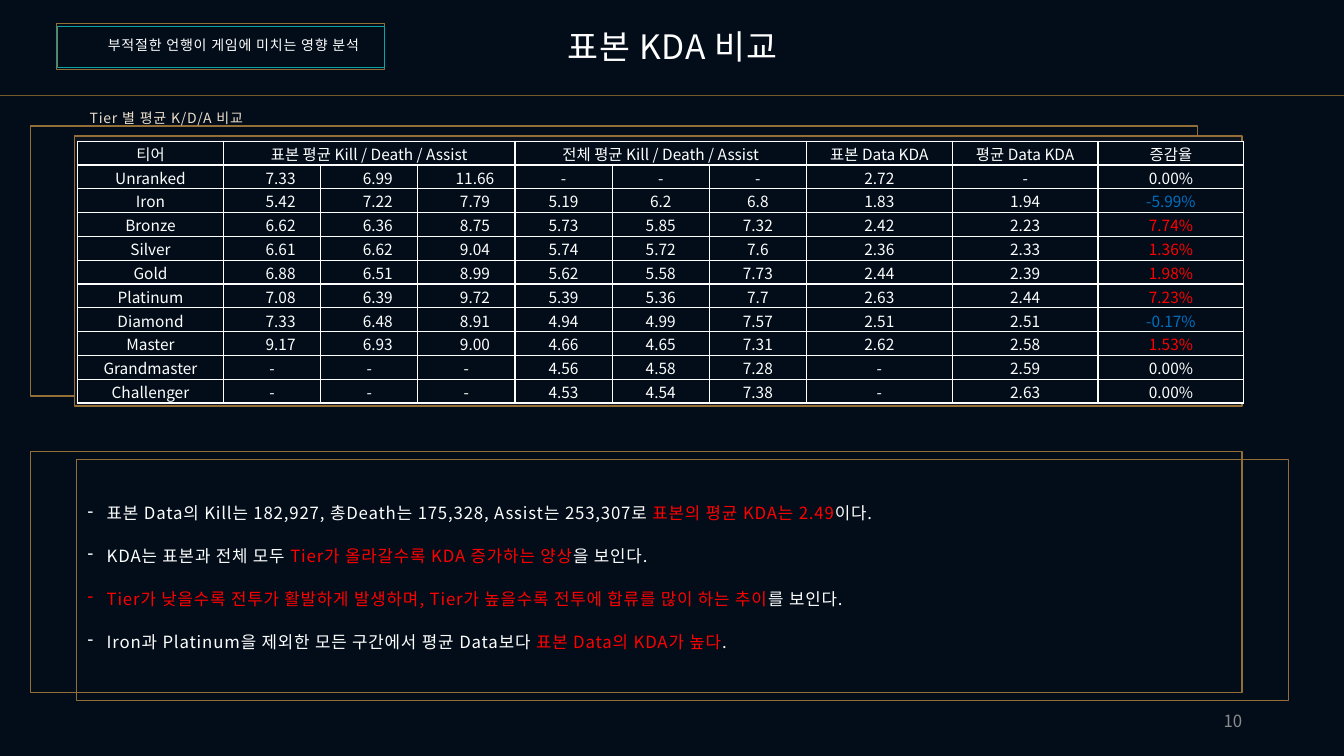
import lxml.etree
import pptx
import pptx.dml.color
import pptx.enum.shapes
import pptx.enum.text
import pptx.oxml
import pptx.oxml.ns
import pptx.util

SCALE = 9144
FONT = "Noto Sans CJK KR"
NIGHT, WHITE, GOLD = "020D19", "FFFFFF", "936E37"
RED, BLUE = "FF0000", "0070C0"
ALIGN = pptx.enum.text.PP_ALIGN
ANCHOR = pptx.enum.text.MSO_ANCHOR
qn = pptx.oxml.ns.qn

TIERS = """
Unranked 7.33 6.99 11.66 - - - 2.72 - 0.00%
Iron 5.42 7.22 7.79 5.19 6.2 6.8 1.83 1.94 -5.99%
Bronze 6.62 6.36 8.75 5.73 5.85 7.32 2.42 2.23 7.74%
Silver 6.61 6.62 9.04 5.74 5.72 7.6 2.36 2.33 1.36%
Gold 6.88 6.51 8.99 5.62 5.58 7.73 2.44 2.39 1.98%
Platinum 7.08 6.39 9.72 5.39 5.36 7.7 2.63 2.44 7.23%
Diamond 7.33 6.48 8.91 4.94 4.99 7.57 2.51 2.51 -0.17%
Master 9.17 6.93 9.00 4.66 4.65 7.31 2.62 2.58 1.53%
Grandmaster - - - 4.56 4.58 7.28 - 2.59 0.00%
Challenger - - - 4.53 4.54 7.38 - 2.63 0.00%
"""
HEADS = {
    0: "티어",
    1: "표본 평균 Kill / Death / Assist",
    4: "전체 평균 Kill / Death / Assist",
    7: "표본 Data KDA",
    8: "평균 Data KDA",
    9: "증감율",
}
NOTES = [
    [("표본 Data의 Kill는 182,927, 총Death는 175,328, Assist는 253,307로 ", WHITE),
     ("표본의 평균 KDA는 2.49", RED), ("이다.", WHITE)],
    [("KDA는 표본과 전체 모두 ", WHITE),
     ("Tier가 올라갈수록 KDA 증가하는 양상", RED), ("을 보인다.", WHITE)],
    [("Tier가 낮을수록 전투가 활발하게 발생하며, Tier가 높을수록 전투에 합류를 많이 하는 추이", RED),
     ("를 보인다.", WHITE)],
    [("Iron과 Platinum을 제외한 모든 구간에서 평균 Data보다 ", WHITE),
     ("표본 Data의 KDA가 높다", RED), (".", WHITE)],
]


def px(count):
    """Turn px into EMU."""
    return pptx.util.Emu(int(count * SCALE))


def tint(code):
    """Turn a hex string into a colour."""
    return pptx.dml.color.RGBColor.from_string(code)


def write(para, text, size=12, color=WHITE, track=0, align=ALIGN.LEFT):
    """Add one run of text to a paragraph."""
    para.alignment = align
    run = para.add_run()
    run.text = text
    run.font.size = pptx.util.Pt(size)
    run.font.name = FONT
    run.font.color.rgb = tint(color)
    props = run.font._element
    if track:
        props.set("spc", str(track))
    lxml.etree.SubElement(props, qn("a:ea")).set("typeface", FONT)


def trend(rate):
    """Pick the colour of a rate of change."""
    if rate == "0.00%":
        return WHITE
    return BLUE if rate.startswith("-") else RED


class Page:
    """Holds the slide and draws its elements."""

    def __init__(self, deck):
        """Add a blank slide with a dark ground."""
        self.slide = deck.slides.add_slide(deck.slide_layouts[6])
        self.shapes = self.slide.shapes
        ground = self.slide.background.fill
        ground.solid()
        ground.fore_color.rgb = tint(NIGHT)

    def frame(self, x, y, wide, high, color=GOLD, weight=1, fill=None):
        """Draw a box with a thin edge."""
        kind = pptx.enum.shapes.MSO_SHAPE.RECTANGLE
        shape = self.shapes.add_shape(kind, px(x), px(y), px(wide), px(high))
        shape.shadow.inherit = False
        if fill:
            shape.fill.solid()
            shape.fill.fore_color.rgb = tint(fill)
        else:
            shape.fill.background()
        shape.line.color.rgb = tint(color)
        shape.line.width = pptx.util.Pt(weight)

    def rule(self, x, y, end, color, weight):
        """Draw a level line."""
        kind = pptx.enum.shapes.MSO_CONNECTOR.STRAIGHT
        line = self.shapes.add_connector(kind, px(x), px(y), px(end), px(y))
        line.line.color.rgb = tint(color)
        line.line.width = pptx.util.Pt(weight)
        lxml.etree.SubElement(line._element.spPr, qn("a:effectLst"))

    def space(self, x, y, wide, high, anchor=ANCHOR.TOP):
        """Add an empty text box and return its text frame."""
        body = self.shapes.add_textbox(px(x), px(y), px(wide), px(high)).text_frame
        body.word_wrap = True
        body.vertical_anchor = anchor
        return body

    def label(self, text, x, y, wide, high, anchor=ANCHOR.TOP, **style):
        """Place one line of text."""
        write(self.space(x, y, wide, high, anchor).paragraphs[0], text, **style)

    def list(self, items, x, y, wide, high, gap):
        """Place a list with dashes."""
        body = self.space(x, y, wide, high)
        for rank, runs in enumerate(items):
            para = body.add_paragraph() if rank else body.paragraphs[0]
            para.line_spacing = 1.5
            para.space_before = pptx.util.Pt(gap if rank else 0)
            for text, color in runs:
                write(para, text, color=color, track=60)
            props = para._p.get_or_add_pPr()
            props.set("marL", str(px(19)))
            props.set("indent", str(-px(19)))
            lxml.etree.SubElement(props, qn("a:buChar")).set("char", "-")

    def cell(self, cell, text="", color=WHITE, shift=0):
        """Fill and edge a cell, then write in it."""
        cell.fill.solid()
        cell.fill.fore_color.rgb = tint(NIGHT)
        cell.vertical_anchor = ANCHOR.MIDDLE
        cell.margin_left = px(1 + shift)
        cell.margin_right = cell.margin_top = px(1)
        cell.margin_bottom = 0
        props = cell._tc.get_or_add_tcPr()
        for spot, side in enumerate("LRTB"):
            edge = pptx.oxml.parse_xml(
                f'<a:ln{side} {pptx.oxml.ns.nsdecls("a")} w="12700"><a:solidFill>'
                f'<a:srgbClr val="{WHITE}"/></a:solidFill></a:ln{side}>')
            props.insert(spot, edge)
        if text:
            write(cell.text_frame.paragraphs[0], text, size=11, color=color,
                  align=ALIGN.CENTER)

    def table(self, heads, rows, x, y, wide, high):
        """Draw the tier table with merged heads."""
        cols, deep = len(rows[0]), len(rows) + 1
        grid = self.shapes.add_table(deep, cols, px(x), px(y), px(wide), px(high)).table
        grid.first_row = grid.horz_banding = False
        for row in grid.rows:
            row.height = px(high / deep)
        for col, band in enumerate(grid.columns):
            band.width = px(wide / 12 * (1 if 1 <= col <= 6 else 1.5))
            self.cell(grid.cell(0, col), heads.get(col, ""))
        for start in (1, 4):
            grid.cell(0, start).merge(grid.cell(0, start + 2))
        for line, row in enumerate(rows, 1):
            for col, text in enumerate(row):
                color = trend(text) if col == cols - 1 else WHITE
                shift = 17 if 1 <= col <= 3 and text != "-" else 0
                self.cell(grid.cell(line, col), text, color, shift)


def main():
    """Build the slide and save it."""
    deck = pptx.Presentation()
    deck.slide_width, deck.slide_height = px(1333), px(750)
    page = Page(deck)
    page.frame(30, 125, 1158, 268)
    page.frame(74, 135, 1158, 268, fill="0D141F")
    page.label("Tier 별 평균 K/D/A 비교", 79, 104, 205, 27, size=10, color="ECDFCC", track=60)
    page.rule(0, 95, 1333, "755827", 0.5)
    page.frame(56, 23, 325, 46, weight=0.25)
    page.frame(57, 26, 324, 41, color="09A6A5", weight=0.75)
    page.label("부적절한 언행이 게임에 미치는 영향 분석", 82, 31, 299, 27, size=10, track=60,
               align=ALIGN.CENTER)
    page.label("10", 942, 695, 300, 40, ANCHOR.MIDDLE, color="8C8C8C", align=ALIGN.RIGHT)
    page.label("표본 KDA 비교", 493, 21, 348, 50, size=24, track=60, align=ALIGN.CENTER)
    page.frame(30, 448, 1202, 239)
    page.frame(76, 456, 1202, 239)
    page.list(NOTES, 77, 484, 1157, 165, gap=9)
    page.table(HEADS, [row.split() for row in TIERS.strip().splitlines()], 77, 140, 1157, 260)
    deck.save("out.pptx")


if __name__ == "__main__":
    main()
